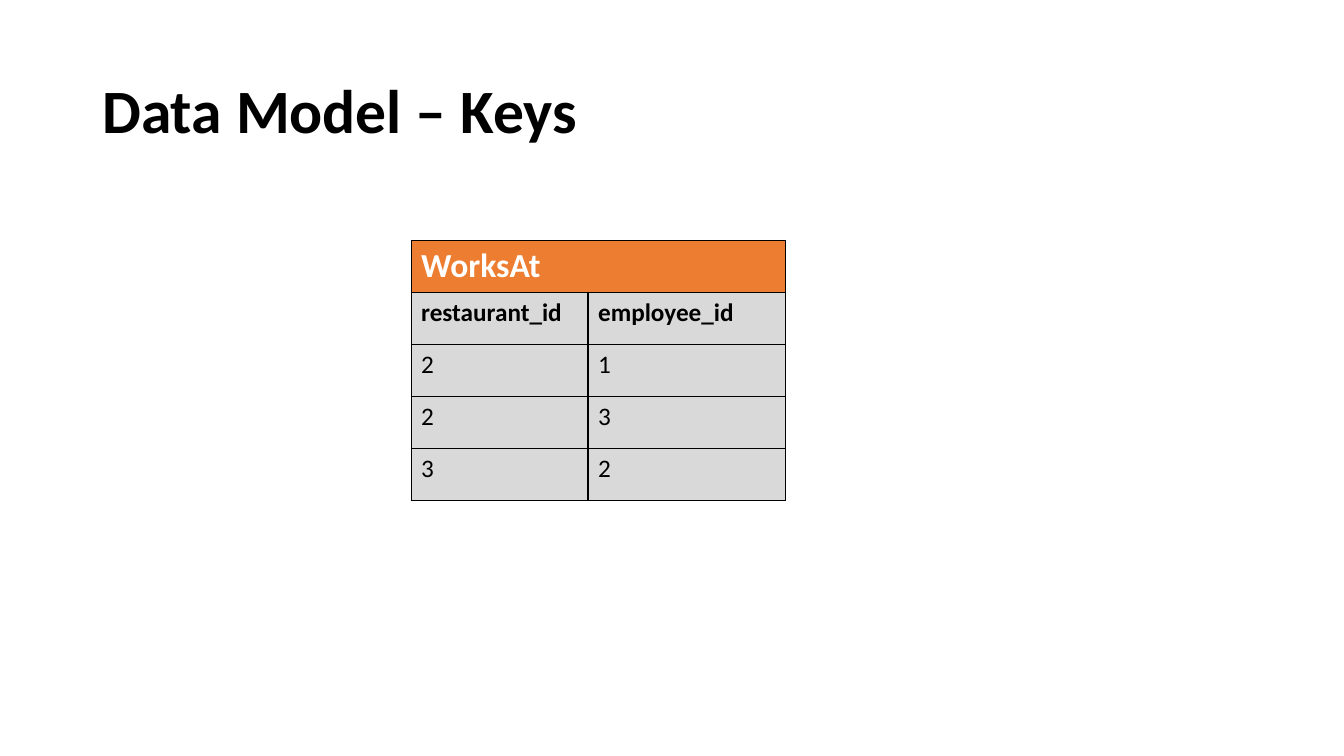
from lxml.etree import SubElement
from pptx import Presentation
from pptx.dml.color import RGBColor
from pptx.enum.text import MSO_ANCHOR
from pptx.oxml.ns import qn
from pptx.util import Cm, Pt

BLACK = RGBColor(0x00, 0x00, 0x00)
WHITE = RGBColor(0xFF, 0xFF, 0xFF)
ORANGE = RGBColor(0xED, 0x7D, 0x31)
GRAY = RGBColor(0xD9, 0xD9, 0xD9)


def style_text(para, size, color, bold):
    para.font.name = "Calibri"
    para.font.size = Pt(size)
    para.font.color.rgb = color
    para.font.bold = bold


def add_borders(cell):
    properties = cell._tc.get_or_add_tcPr()
    for side in ("a:lnL", "a:lnR", "a:lnT", "a:lnB"):
        line = SubElement(properties, qn(side), w=str(Pt(1)))
        fill = SubElement(line, qn("a:solidFill"))
        SubElement(fill, qn("a:srgbClr"), val=str(BLACK))


deck = Presentation()
deck.slide_width, deck.slide_height = Cm(33.87), Cm(19.05)
page = deck.slides.add_slide(deck.slide_layouts[6])

# Title
title = page.shapes.add_textbox(Cm(2.33), Cm(1.01), Cm(29.21), Cm(3.68))
title.text_frame.word_wrap = True
title.text_frame.vertical_anchor = MSO_ANCHOR.MIDDLE
para = title.text_frame.paragraphs[0]
para.text = "Data Model – Keys"
para.line_spacing = 0.9
style_text(para, 44, BLACK, True)

# Relation table: name, column names, then tuples
rows = [
    ("WorksAt", ""),
    ("restaurant_id", "employee_id"),
    ("2", "1"),
    ("2", "3"),
    ("3", "2"),
]
column_widths = [Cm(4.46), Cm(4.98)]
row_height = Cm(1.31)
table = page.shapes.add_table(
    len(rows), len(column_widths), Cm(10.36), Cm(6.07),
    sum(column_widths), row_height * len(rows),
).table
for column, width in zip(table.columns, column_widths):
    column.width = width
for row in table.rows:
    row.height = row_height

for r, values in enumerate(rows):
    for c, value in enumerate(values):
        cell = table.cell(r, c)
        add_borders(cell)
        cell.fill.solid()
        cell.fill.fore_color.rgb = ORANGE if r == 0 else GRAY
        para = cell.text_frame.paragraphs[0]
        para.text = value
        style_text(para, 24 if r == 0 else 18, WHITE if r == 0 else BLACK, r < 2)
table.cell(0, 0).merge(table.cell(0, 1))

deck.save("out.pptx")
